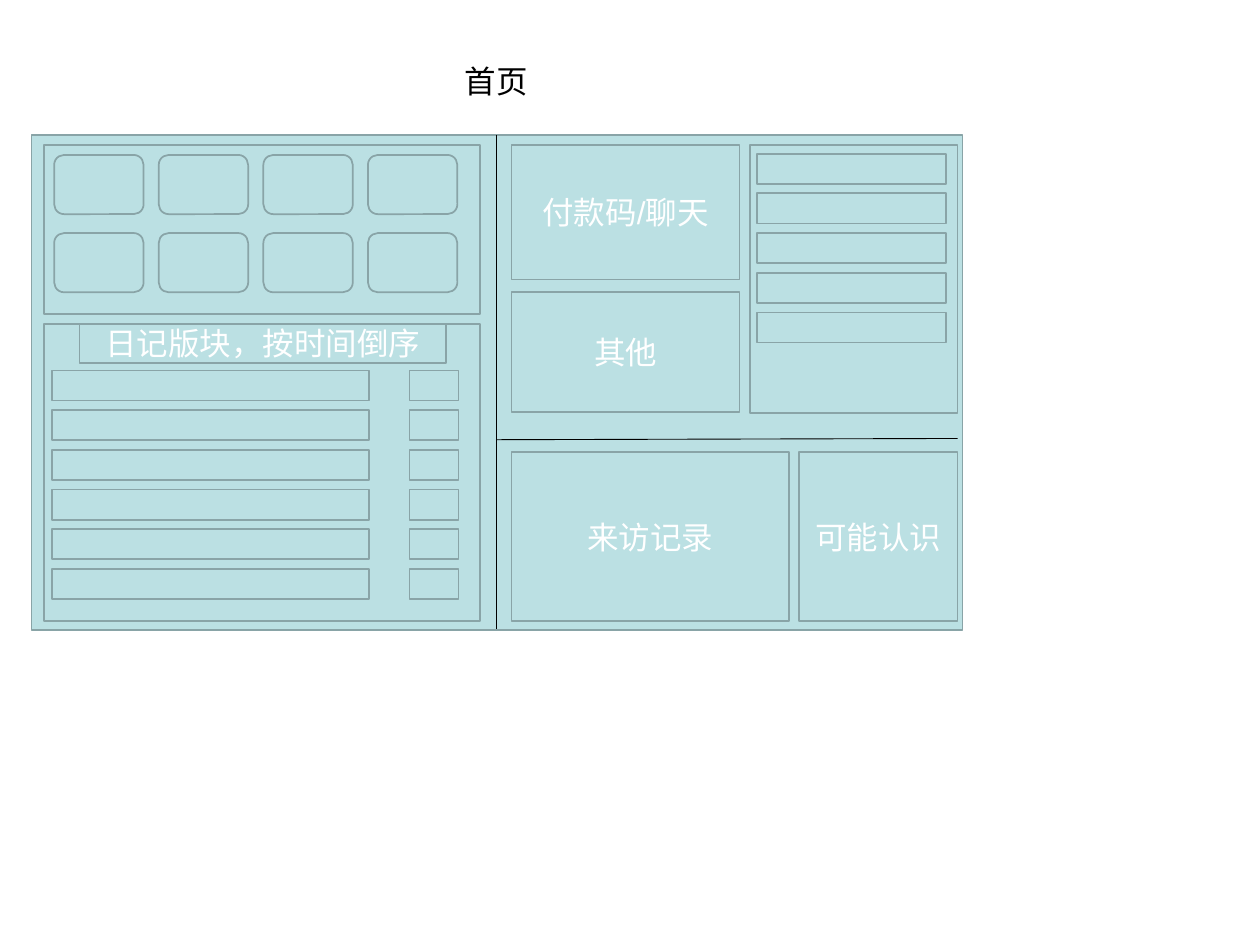
from pptx import Presentation
from pptx import util as u
from pptx.dml.color import RGBColor
from pptx.enum import shapes, text
from pptx.oxml.ns import qn
from lxml import etree

PANEL = RGBColor(0xBB, 0xE0, 0xE3)
BORDER = RGBColor(0x89, 0xA4, 0xA7)
WHITE = RGBColor(0xFF, 0xFF, 0xFF)
BLACK = RGBColor(0, 0, 0)

ROW_HEIGHT, ROW_PITCH = 0.24, 0.315
RECT = shapes.MSO_SHAPE.RECTANGLE
ROUNDED = shapes.MSO_SHAPE.ROUNDED_RECTANGLE


class Wireframe:
    font_format = {"name": "Arial", "size": u.Pt(18)}
    label_format = {"word_wrap": True, "vertical_anchor": text.MSO_ANCHOR.MIDDLE}
    title_format = {"word_wrap": False, "auto_size": text.MSO_AUTO_SIZE.SHAPE_TO_FIT_TEXT}

    def __init__(self, slide):
        self.slide = slide

    def set_text(self, frame, words, color, frame_format, align):
        for key, value in frame_format.items():
            setattr(frame, key, value)
        paragraph = frame.paragraphs[0]
        paragraph.alignment = align
        run = paragraph.add_run()
        run.text = words
        for key, value in self.font_format.items():
            setattr(run.font, key, value)
        run.font.color.rgb = color

    def box(self, left, top, width, height, label=None, kind=RECT):
        block = self.slide.shapes.add_shape(kind, *map(u.Inches, (left, top, width, height)))
        block.shadow.inherit = False
        block.fill.solid()
        block.fill.fore_color.rgb = PANEL
        block.line.color.rgb = BORDER
        block.line.width = u.Pt(1)
        if label:
            self.set_text(block.text_frame, label, WHITE, self.label_format, text.PP_ALIGN.CENTER)

    def rows(self, left, top, width, count):
        """Stack equal bars at the common row pitch."""
        for row in range(count):
            self.box(left, top + row * ROW_PITCH, width, ROW_HEIGHT)

    def divider(self, *ends):
        rule = self.slide.shapes.add_connector(
            shapes.MSO_CONNECTOR.STRAIGHT, *map(u.Inches, ends))
        rule.line.color.rgb = BLACK
        rule.line.width = u.Pt(0.5)
        etree.SubElement(rule._element.spPr, qn("a:effectLst"))

    def title(self, left, top, width, height, words):
        heading = self.slide.shapes.add_textbox(*map(u.Inches, (left, top, width, height)))
        self.set_text(heading.text_frame, words, BLACK, self.title_format, text.PP_ALIGN.LEFT)


def main():
    deck = Presentation()
    deck.slide_width, deck.slide_height = u.Inches(10), u.Inches(7.5)
    page = Wireframe(deck.slides.add_slide(deck.slide_layouts[6]))

    page.box(0.25, 1.07, 7.39, 3.93)
    page.divider(3.94, 1.07, 3.94, 4.99)
    page.divider(7.6, 3.48, 3.94, 3.49)

    # Icon grid
    page.box(0.35, 1.15, 3.46, 1.34)
    for top in (1.23, 1.85):
        for column in range(4):
            page.box(0.43 + column * 0.83, top, 0.71, 0.47, kind=ROUNDED)

    # Diary list
    page.box(0.35, 2.57, 3.46, 2.36)
    page.rows(0.41, 2.94, 2.52, 6)
    page.rows(3.25, 2.94, 0.39, 6)
    page.box(0.63, 2.57, 2.91, 0.31, "日记版块，按时间倒序")

    # Right-hand panels
    page.box(4.06, 1.15, 1.81, 1.07, "付款码/聊天")
    page.box(4.06, 2.32, 1.81, 0.95, "其他")
    page.box(5.95, 1.15, 1.65, 2.13)
    page.rows(6.01, 1.22, 1.5, 5)
    page.box(4.06, 3.59, 2.2, 1.34, "来访记录")
    page.box(6.34, 3.59, 1.26, 1.34, "可能认识")

    page.title(3.59, 0.44, 0.7, 0.4, "首页")
    deck.save("out.pptx")


if __name__ == "__main__":
    main()
